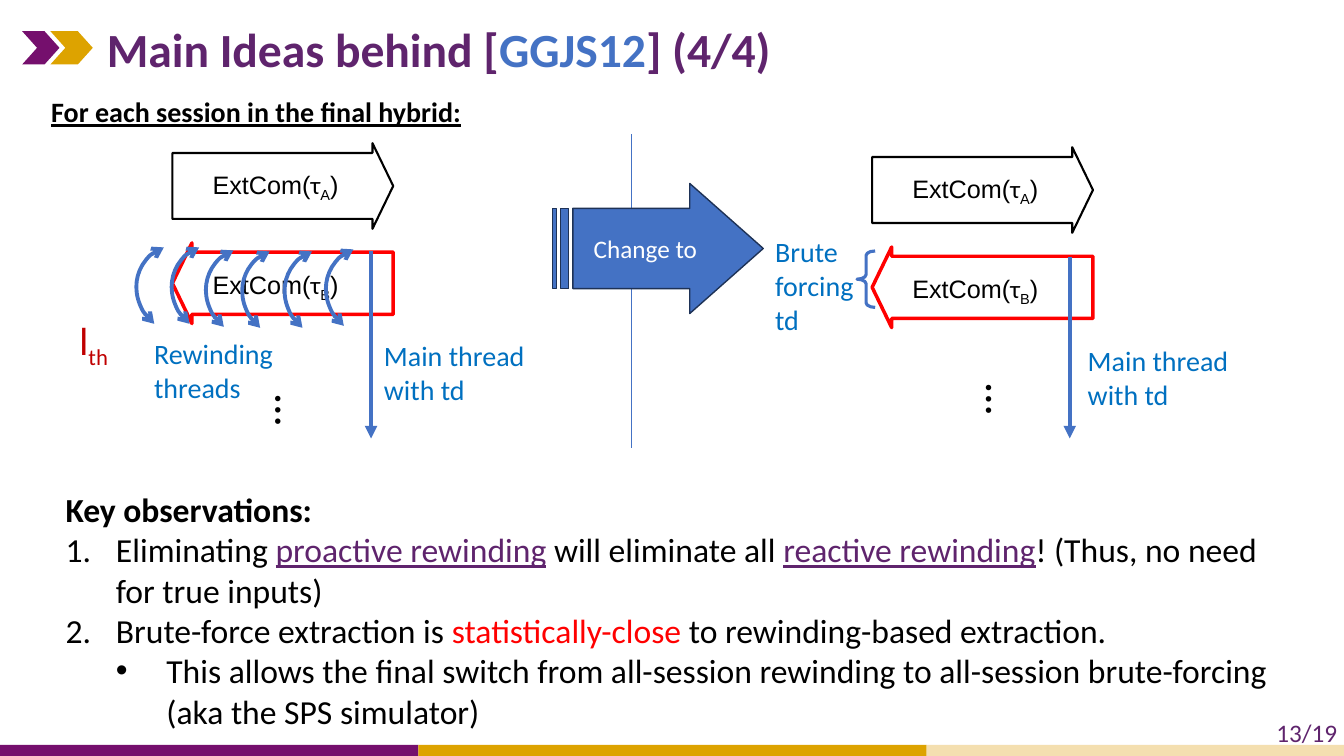
import pptx
import pptx.dml.color
import pptx.enum.shapes
import pptx.enum.text
import pptx.oxml
import pptx.oxml.ns
import pptx.util

Inches, Pt = pptx.util.Inches, pptx.util.Pt
RGBColor = pptx.dml.color.RGBColor
SHAPE = pptx.enum.shapes.MSO_SHAPE
ANCHOR = pptx.enum.text.MSO_ANCHOR
ALIGN = pptx.enum.text.PP_ALIGN
qn = pptx.oxml.ns.qn

PURPLE = RGBColor(0x75, 0x0F, 0x6D)
VIOLET = RGBColor(0x5F, 0x24, 0x6D)
GOLD = RGBColor(0xDD, 0xA3, 0x00)
CREAM = RGBColor(0xF4, 0xDF, 0xB0)
BLUE = RGBColor(0x44, 0x72, 0xC4)
NAVY = RGBColor(0x1E, 0x32, 0x56)
SKY = RGBColor(0x00, 0x70, 0xC0)
RED = RGBColor(0xFF, 0x00, 0x00)
CRIMSON = RGBColor(0xC0, 0x00, 0x00)
BLACK = RGBColor(0, 0, 0)
WHITE = RGBColor(0xFF, 0xFF, 0xFF)

# Content: a paragraph is a list of (text, format) spans
TITLE = [("Main Ideas behind [", {}), ("GGJS12", {"color": BLUE}), ("] (4/4)", {})]
TITLE_FORMAT = {"size": 34, "color": VIOLET, "bold": True}
TERM = {"color": VIOLET, "underline": True}
OBSERVATIONS = [  # bullet kind, level, left margin, spans
    (None, 0, 0, [("Key observations:", {"bold": True})]),
    ("number", 0, 0.5, [("Eliminating ", {}), ("proactive rewinding", TERM),
                        (" will eliminate all ", {}), ("reactive rewinding", TERM),
                        ("! (Thus, no need for true inputs)", {})]),
    ("number", 0, 0.5, [("Brute-force extraction is ", {}),
                        ("statistically-close", {"color": RED}),
                        (" to rewinding-based extraction.", {})]),
    ("dot", 1, 1, [("This allows the final switch from all-session rewinding to "
                    "all-session brute-forcing (aka the SPS simulator)", {})]),
]
NOTE = {"size": 20, "color": SKY}
DOTS = {"size": 24, "bold": True, "name": "Times New Roman"}
LABELS = [  # place, lines, format, rotation
    ((12.56, 7.07, 0.88, 0.4), ["13/19"], {"size": 18, "color": VIOLET}, 0),
    ((0.41, 0.89, 5.5, 0.44), ["For each session in the final hybrid:"],
     {"size": 20, "bold": True, "underline": True}, 0),
    ((1.43, 3.29, 1.73, 0.77), ["Rewinding", "threads"], NOTE, 0),
    ((3.71, 3.31, 1.93, 0.77), ["Main thread with td"], NOTE, 0),
    ((7.59, 2.28, 1.03, 1.11), ["Brute forcing", "td"], NOTE, 0),
    ((10.69, 3.36, 1.93, 0.77), ["Main thread with td"], NOTE, 0),
    ((2.55, 3.87, 0.63, 0.5), ["…"], DOTS, 90),
    ((9.6, 3.76, 0.63, 0.5), ["…"], DOTS, 90),
]
SESSIONS = [(1.71, 1.42), (8.65, 1.46)]
MESSAGES = [  # subscript, drop, height, rotation, colour, line width
    ("A", 0, 0.85, 0, BLACK, 1.5),
    ("B", 0.99, 0.8, 180, RED, 2.5),
]
REWINDS = [(1.34, 2.44), (1.69, 2.44), (2.03, 2.47),
           (2.39, 2.48), (2.81, 2.48), (3.22, 2.46)]
LINES = [  # x, top, bottom, width, arrowhead
    (3.68, 2.49, 4.35, 3, True),
    (6.26, 1.33, 4.44, 0.5, False),
    (10.61, 2.55, 4.35, 3, True),
]
FOOTER_BARS = [(0, 4.15, PURPLE), (4.15, 5.04, GOLD), (9.19, 4.15, CREAM)]
CHEVRONS = [(0.22, 0.37, PURPLE), (0.5, 0.42, GOLD)]


def write(para, spans, base):
    for text, changes in spans:
        span = para.add_run()
        span.text = text
        look = {"name": "Calibri", "color": BLACK, "bold": False, **base, **changes}
        span.font.color.rgb = look.pop("color")
        if look.pop("subscript", False):
            span.font._element.set("baseline", "-25000")
        look["size"] = Pt(look["size"])
        for key, value in look.items():
            setattr(span.font, key, value)


def add_label(shapes, place, lines, base, rotation=0):
    box = shapes.add_textbox(*map(Inches, place))
    box.rotation = rotation
    frame = box.text_frame
    frame.word_wrap = True
    for index, spans in enumerate(lines):
        para = frame.add_paragraph() if index else frame.paragraphs[0]
        write(para, spans, base)


def add_figure(shapes, kind, place, fill=None, line=None, width=1, adjust=(), rotation=0):
    figure = shapes.add_shape(kind, *map(Inches, place))
    figure.shadow.inherit = False
    figure.rotation = rotation
    for index, value in enumerate(adjust):
        figure.adjustments[index] = value
    for part, color in ((figure.fill, fill), (figure.line.fill, line)):
        if color is None:
            part.background()
        else:
            part.solid()
            part.fore_color.rgb = color
    if line is not None:
        figure.line.width = Pt(width)
    return figure


def add_heads(shape, **heads):
    outline = shape.line._get_or_add_ln()
    for tag, kind in heads.items():
        pptx.oxml.ns  # namespaced line ends follow the fill
        end = outline.makeelement(qn("a:" + tag), {"type": kind})
        outline.append(end)


def set_bullet(para, kind, margin):
    properties = para._p.get_or_add_pPr()
    properties.set("marL", str(Inches(margin)))
    properties.set("indent", str(Inches(-0.5 if kind else 0)))
    tag, values = {
        None: ("a:buNone", {}),
        "number": ("a:buAutoNum", {"type": "arabicPeriod"}),
        "dot": ("a:buChar", {"char": "•"}),
    }[kind]
    if kind:
        face = "Arial" if kind == "dot" else "+mj-lt"
        properties.append(properties.makeelement(qn("a:buFont"), {"typeface": face}))
    properties.append(properties.makeelement(qn(tag), values))


def place_holder(holder, place, anchor):
    holder.left, holder.top, holder.width, holder.height = map(Inches, place)
    holder.text_frame.word_wrap = True
    holder.text_frame.auto_size = pptx.enum.text.MSO_AUTO_SIZE.NONE
    holder.text_frame.vertical_anchor = anchor
    return holder.text_frame


def main():
    deck = pptx.Presentation()
    deck.slide_width, deck.slide_height = Inches(13.33), Inches(7.5)
    page = deck.slides.add_slide(deck.slide_layouts[1])
    shapes = page.shapes

    # Title and observations
    frame = place_holder(shapes.title, (0.96, 0.12, 11.21, 0.73), ANCHOR.MIDDLE)
    frame.paragraphs[0].alignment = ALIGN.LEFT
    write(frame.paragraphs[0], TITLE, TITLE_FORMAT)
    frame = place_holder(page.placeholders[1], (0.55, 4.8, 12.12, 2.52), ANCHOR.TOP)
    for index, (kind, level, margin, spans) in enumerate(OBSERVATIONS):
        para = frame.add_paragraph() if index else frame.paragraphs[0]
        para.level = level
        para.space_before = Pt(0)
        set_bullet(para, kind, margin)
        write(para, spans, {"size": 24})

    # Footer bars and title chevrons
    for left, width, color in FOOTER_BARS:
        add_figure(shapes, SHAPE.RECTANGLE, (left, 7.39, width, 0.11), color)
    for left, width, color in CHEVRONS:
        add_figure(shapes, SHAPE.CHEVRON, (left, 0.31, width, 0.33), color, adjust=[0.449])

    # Message arrows of both sessions
    for left, top in SESSIONS:
        group = shapes.add_group_shape().shapes
        for letter, drop, height, rotation, color, width in MESSAGES:
            add_figure(group, SHAPE.RIGHT_ARROW, (left, top + drop, 2.19, height),
                       line=color, width=width, adjust=[0.77, 0.242], rotation=rotation)
            spans = [("ExtCom(", {}), ("τ", {"name": "Calibri"}),
                     (letter, {"subscript": True}), (")", {})]
            add_label(group, (left + 0.3, top + drop + 0.21, 1.75, 0.85), [spans],
                      {"size": 18, "name": "Arial"})

    # Rewinding threads
    for left, top in REWINDS:
        arc = add_figure(shapes, SHAPE.ARC, (left, top, 0.93, 0.87), line=BLUE, width=2.75,
                         adjust=[162, 16.491], rotation=219.3)
        add_heads(arc, headEnd="arrow", tailEnd="arrow")

    # Main threads and divider
    for x, top, bottom, width, pointed in LINES:
        line = shapes.add_connector(pptx.enum.shapes.MSO_CONNECTOR.STRAIGHT,
                                    *map(Inches, (x, top, x, bottom)))
        line.line.color.rgb = BLUE
        line.line.width = Pt(width)
        if pointed:
            add_heads(line, tailEnd="triangle")
        properties = line._element.spPr
        properties.append(properties.makeelement(qn("a:effectLst"), {}))

    # Brace, labels and the change arrow
    add_figure(shapes, SHAPE.LEFT_BRACE, (8.5, 2.49, 0.18, 0.56), line=BLUE, width=2.25,
               adjust=[0.25, 0.5])
    for place, lines, base, rotation in LABELS:
        add_label(shapes, place, [[(text, {})] for text in lines], base, rotation)
    add_label(shapes, (0.69, 3.09, 0.57, 0.57), [[("l", {}), ("th", {"subscript": True})]],
              {"size": 28, "color": CRIMSON})
    change = add_figure(shapes, SHAPE.STRIPED_RIGHT_ARROW, (5.48, 1.82, 2.09, 1.29), BLUE,
                        NAVY, adjust=[0.617, 0.565])
    change.text_frame.vertical_anchor = ANCHOR.MIDDLE
    change.text_frame.paragraphs[0].alignment = ALIGN.CENTER
    write(change.text_frame.paragraphs[0], [("Change to", {})], {"size": 18, "color": WHITE})

    deck.save("out.pptx")


if __name__ == "__main__":
    main()
